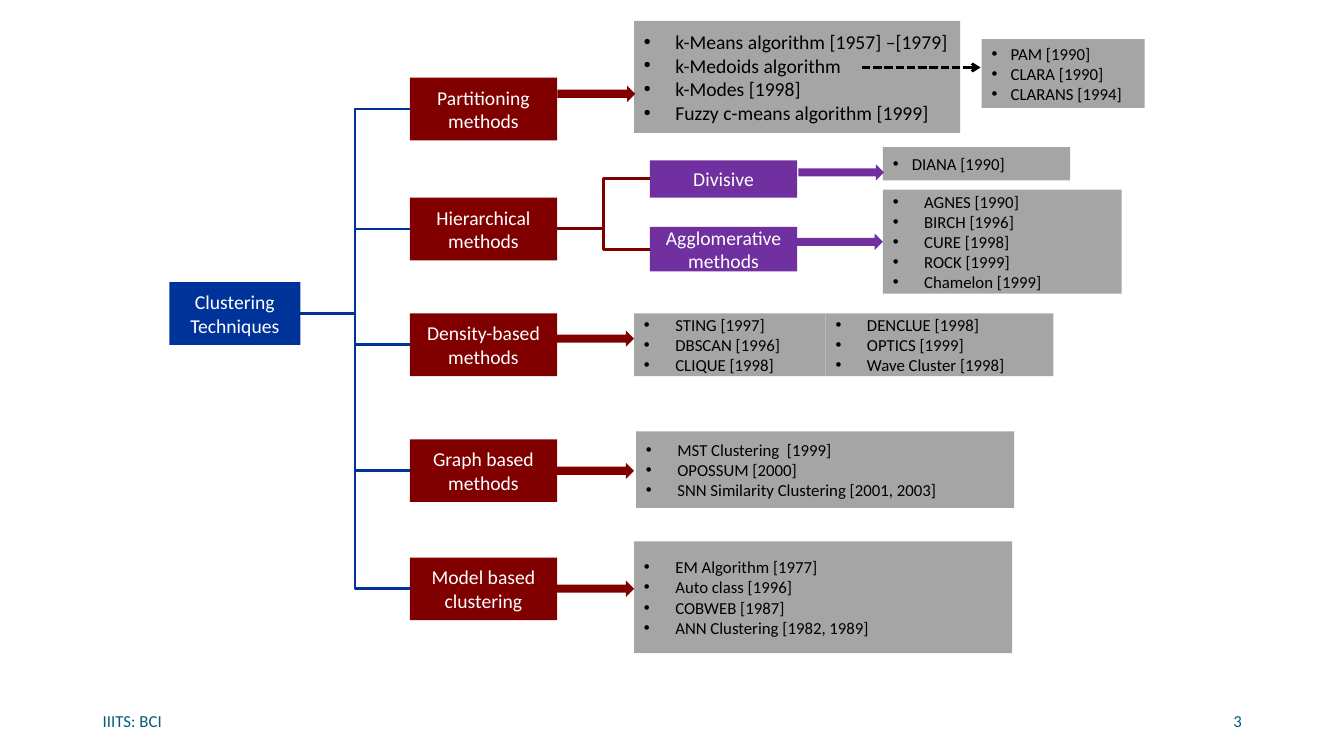
from lxml.etree import SubElement
from pptx import Presentation
from pptx.dml.color import RGBColor
from pptx.enum.dml import MSO_LINE
from pptx.enum.shapes import MSO_CONNECTOR as LINE, MSO_SHAPE as SHAPE
from pptx.enum.text import MSO_ANCHOR as ANCHOR, PP_ALIGN as ALIGN
from pptx.oxml.ns import qn
from pptx.util import Cm, Pt

NAVY = RGBColor(0x00, 0x33, 0x99)
MAROON = RGBColor(0x80, 0x00, 0x00)
PURPLE = RGBColor(0x70, 0x30, 0xA0)
GREY = RGBColor(0xA5, 0xA5, 0xA5)
TEAL = RGBColor(0x04, 0x5D, 0x75)
BLACK = RGBColor(0x00, 0x00, 0x00)
WHITE = RGBColor(0xFF, 0xFF, 0xFF)


def write(sp, lines, size=14, color=WHITE, align=ALIGN.CENTER, indent=None):
    """Fill a shape with paragraphs, bulleted when an indent in cm is given."""
    tf = sp.text_frame
    tf.word_wrap = True
    tf.vertical_anchor = ANCHOR.MIDDLE
    for i, line in enumerate(lines):
        p = tf.add_paragraph() if i else tf.paragraphs[0]
        p.alignment = align
        r = p.add_run()
        r.text = line
        r.font.name = "Calibri"
        r.font.size = Pt(size)
        r.font.color.rgb = color
        if indent:
            pPr = p._p.get_or_add_pPr()
            pPr.set("marL", str(Cm(indent)))
            pPr.set("indent", str(-Cm(indent)))
            SubElement(pPr, qn("a:buFont")).set("typeface", "Arial")
            SubElement(pPr, qn("a:buChar")).set("char", "•")


def block(kind, left, top, width, height, fill):
    """Add a flat filled shape, lengths in cm."""
    sp = s.shapes.add_shape(kind, Cm(left), Cm(top), Cm(width), Cm(height))
    sp.shadow.inherit = False
    sp.fill.solid()
    sp.fill.fore_color.rgb = fill
    sp.line.fill.background()
    return sp


prs = Presentation()
prs.slide_width, prs.slide_height = Cm(33.87), Cm(19.05)
s = prs.slides.add_slide(prs.slide_layouts[6])

# Footer and page number
for left, text, align in [(2.34, "IIITS: BCI", ALIGN.LEFT), (23.93, "3", ALIGN.RIGHT)]:
    tb = s.shapes.add_textbox(Cm(left), Cm(17.65), Cm(7.62), Cm(1.02))
    write(tb, [text], size=12, color=TEAL, align=align)

# Category boxes
boxes = {}
for name, left, top, width, height, fill in [
    ("Clustering Techniques", 4.27, 7.11, 3.3, 1.58, NAVY),
    ("Partitioning methods", 10.33, 1.96, 3.71, 1.58, MAROON),
    ("Hierarchical methods", 10.33, 4.98, 3.71, 1.58, MAROON),
    ("Density-based methods", 10.33, 7.9, 3.71, 1.58, MAROON),
    ("Graph based methods", 10.33, 11.07, 3.71, 1.58, MAROON),
    ("Model based clustering", 10.33, 14.05, 3.71, 1.58, MAROON),
    ("Divisive", 16.38, 4.04, 3.71, 0.94, PURPLE),
    ("Agglomerative methods", 16.38, 5.72, 3.71, 1.12, PURPLE),
]:
    boxes[name] = block(SHAPE.RECTANGLE, left, top, width, height, fill)
    write(boxes[name], [name])

# Algorithm lists
for left, top, width, height, size, indent, lines in [
    (15.98, 0.53, 8.22, 2.82, 14, 0.79,
     ["k-Means algorithm [1957] –[1979]", "k-Medoids algorithm",
      "k-Modes [1998]", "Fuzzy c-means algorithm [1999]"]),
    (15.98, 7.9, 4.83, 1.58, 12, 0.79,
     ["STING [1997]", "DBSCAN [1996]", "CLIQUE [1998]"]),
    (20.81, 7.9, 5.74, 1.58, 12, 0.79,
     ["DENCLUE [1998]", "OPTICS [1999]", "Wave Cluster [1998]"]),
    (16.03, 10.87, 9.53, 1.93, 12, 0.79,
     ["MST Clustering  [1999]", "OPOSSUM [2000]",
      "SNN Similarity Clustering [2001, 2003]"]),
    (15.98, 13.64, 9.53, 2.82, 12, 0.79,
     ["EM Algorithm [1977]", "Auto class [1996]", "COBWEB [1987]",
      "ANN Clustering [1982, 1989]"]),
    (22.25, 4.78, 6.02, 2.62, 12, 0.79,
     ["AGNES [1990]", "BIRCH [1996]", "CURE [1998]", "ROCK [1999]",
      "Chamelon [1999]"]),
    (22.25, 3.71, 4.72, 0.84, 12, 0.48, ["DIANA [1990]"]),
    (24.74, 0.99, 4.11, 1.73, 12, 0.48,
     ["PAM [1990]", "CLARA [1990]", "CLARANS [1994]"]),
]:
    sp = block(SHAPE.RECTANGLE, left, top, width, height, GREY)
    write(sp, lines, size=size, color=BLACK, align=ALIGN.LEFT, indent=indent)

# Tree lines: elbows join two boxes, straight branches leave the trunk
root = boxes["Clustering Techniques"]
hierarchical = boxes["Hierarchical methods"]
trunk = (root.left + root.width + hierarchical.left) // 2
links = []
for start, end, color in [
    (root, "Partitioning methods", NAVY),
    (None, "Hierarchical methods", NAVY),
    (None, "Density-based methods", NAVY),
    (None, "Graph based methods", NAVY),
    (root, "Model based clustering", NAVY),
    (hierarchical, "Divisive", MAROON),
    (hierarchical, "Agglomerative methods", MAROON),
]:
    box = boxes[end]
    y = box.top + box.height // 2
    link = s.shapes.add_connector(LINE.ELBOW if start else LINE.STRAIGHT,
                                  trunk, y, box.left, y)
    if start:
        link.begin_connect(start, 3)
    link.end_connect(box, 1)
    links.append((link, color))

# Dashed arrow from k-Medoids to its variants
dashed = s.shapes.add_connector(LINE.STRAIGHT, Cm(21.72), Cm(1.7), Cm(24.71), Cm(1.7))
links.append((dashed, BLACK))

for link, color in links:
    link.line.color.rgb = color
    link.line.width = Pt(2)
    SubElement(link._element.spPr, qn("a:effectLst"))
dashed.line.dash_style = MSO_LINE.SQUARE_DOT
SubElement(dashed.line._get_or_add_ln(), qn("a:tailEnd")).set("type", "arrow")

# Block arrows from the categories to their lists
for left, top, width, fill in [
    (20.12, 4.14, 2.16, PURPLE),
    (20.09, 5.89, 2.16, PURPLE),
    (14.05, 2.16, 1.96, MAROON),
    (14.02, 8.33, 1.96, MAROON),
    (14.02, 11.66, 1.96, MAROON),
    (14.02, 14.63, 1.96, MAROON),
]:
    block(SHAPE.RIGHT_ARROW, left, top, width, 0.41, fill)

prs.save("out.pptx")
